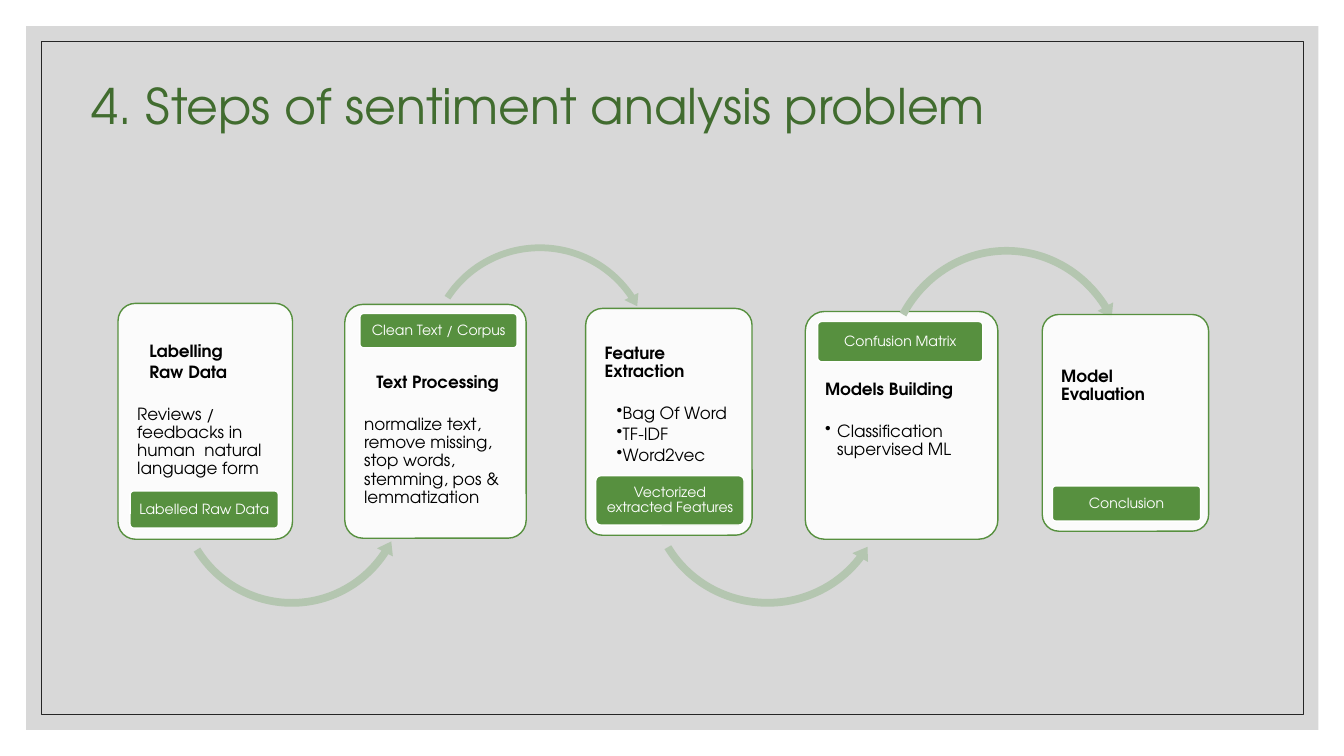
from lxml import etree
from pptx import Presentation
from pptx.dml.color import RGBColor
from pptx.enum.shapes import MSO_SHAPE
from pptx.enum.text import MSO_ANCHOR, MSO_AUTO_SIZE, PP_ALIGN
from pptx.oxml.ns import qn
from pptx.util import Inches, Pt

RECTANGLE = MSO_SHAPE.RECTANGLE
ROUNDED = MSO_SHAPE.ROUNDED_RECTANGLE
ARC_OVER = MSO_SHAPE.CIRCULAR_ARROW
ARC_UNDER = MSO_SHAPE.LEFT_CIRCULAR_ARROW
TOP, MIDDLE = MSO_ANCHOR.TOP, MSO_ANCHOR.MIDDLE
LEFT, CENTER = PP_ALIGN.LEFT, PP_ALIGN.CENTER
NO_AUTOFIT = MSO_AUTO_SIZE.NONE

WHITE = RGBColor(0xFF, 0xFF, 0xFF)
BLACK = RGBColor(0x00, 0x00, 0x00)
GRAY = RGBColor(0xBF, 0xBF, 0xBF)
CHARCOAL = RGBColor(0x26, 0x26, 0x26)
GREEN = RGBColor(0x57, 0x90, 0x3F)
DARK_GREEN = RGBColor(0x41, 0x6C, 0x2F)
PALE_GREEN = RGBColor(0xB4, 0xC6, 0xB0)

FONT = "TeX Gyre Adventor"
INDENT = 0.12
PLAIN, INDENTED, HANGING = (0, 0), (INDENT, 0), (INDENT, -INDENT)

STEPS = [
    {
        "card": (8.78, 40.13, 12.98, 31.2), "inset": 0.34,
        "heading": ["Labelling", "Raw Data"], "heading_indent": INDENTED,
        "body": ["Reviews / feedbacks in human  natural language form"],
        "label": ("Labelled Raw Data", (9.68, 64.93, 11.03, 4.93)),
        "arrow": (ARC_UNDER, (12.75, 48.8, 17.93, 32.13), (3.2, 6.48, 33.67, 148.01, 3.7)),
    },
    {
        "card": (25.65, 40.27, 13.5, 30.93), "inset": 0.64,
        "heading": ["Text Processing"], "heading_indent": INDENTED,
        "body": ["normalize text, remove missing, stop words, stemming, pos & lemmatization"],
        "label": ("Clean Text / Corpus", (26.78, 41.47, 11.7, 4.53)),
        "arrow": (ARC_OVER, (31.43, 31.73, 17.48, 30.67), (2.9, 5.98, 327.03, 212.19, 3.4)),
    },
    {
        "card": (43.58, 40.8, 12.38, 30), "inset": 0.31,
        "heading": ["Feature Extraction"],
        "body": ["Bag Of Word", "TF-IDF", "Word2vec"],
        "body_indent": INDENTED, "bullet": "•",
        "label": ("Vectorized extracted Features", (44.33, 62.93, 11.03, 6.53)),
        "arrow": (ARC_UNDER, (47.85, 48.8, 18.53, 32.13), (3.2, 6.49, 35.97, 150.3, 3.7)),
    },
    {
        "card": (59.92, 41.2, 14.33, 30.13), "inset": 0.63,
        "heading": ["Models Building"],
        "body": ["Classification supervised ML"],
        "body_indent": HANGING, "bullet": "•",
        "label": ("Confusion Matrix", (60.83, 42.53, 12.3, 5.33)),
        "arrow": (ARC_OVER, (65.4, 32, 18.98, 35.33), (3, 6.14, 325.18, 210.5, 3.5)),
    },
    {
        "card": (77.55, 41.6, 12.38, 28.67), "inset": 0.48,
        "heading": ["Model Evaluation"], "body": [],
        "label": ("Conclusion", (78.3, 64.27, 11.03, 4.67)),
    },
]


def apply(target, values):
    for name, value in values.items():
        setattr(target, name, value)


class SlideBuilder:
    def __init__(self, presentation):
        self.width = presentation.slide_width
        self.height = presentation.slide_height
        self.slide = presentation.slides.add_slide(presentation.slide_layouts[5])

    def place(self, box):
        sides = (self.width, self.height) * 2
        return [int(side * share / 100) for side, share in zip(sides, box)]

    def shape(self, kind, box, fill=None, opacity=None, line=None, weight=1):
        shape = self.slide.shapes.add_shape(kind, *self.place(box))
        shape.shadow.inherit = False
        if fill is None:
            shape.fill.background()
        else:
            shape.fill.solid()
            shape.fill.fore_color.rgb = fill
        if opacity is not None:
            color = shape._element.spPr.find(qn("a:solidFill"))[0]
            etree.SubElement(color, qn("a:alpha"), val=str(opacity * 1000))
        if line is None:
            shape.line.fill.background()
        else:
            shape.line.color.rgb = line
            shape.line.width = Pt(weight)
        return shape

    def frame(self, shape, margins, anchor):
        names = ("margin_left", "margin_top", "margin_right", "margin_bottom")
        apply(shape.text_frame, {name: Inches(margin) for name, margin in zip(names, margins)})
        apply(shape.text_frame, {"word_wrap": True, "auto_size": NO_AUTOFIT, "vertical_anchor": anchor})
        return shape.text_frame

    def fill_paragraph(self, paragraph, text, size, color, bold=False, align=LEFT,
                       before=0, after=0, indent=PLAIN, bullet=None):
        apply(paragraph, {"alignment": align, "line_spacing": 0.9,
                          "space_before": Pt(before), "space_after": Pt(after)})
        properties = paragraph._p.get_or_add_pPr()
        for name, length in zip(("marL", "indent"), indent):
            properties.set(name, str(Inches(length)))
        if bullet:
            etree.SubElement(properties, qn("a:buChar"), char=bullet)
        run = paragraph.add_run()
        run.text = text
        apply(run.font, {"name": FONT, "size": Pt(size), "bold": bold})
        run.font.color.rgb = color

    def title(self, text, box):
        title = self.slide.shapes.title
        apply(title, dict(zip(("left", "top", "width", "height"), self.place(box))))
        text_frame = self.frame(title, (0.48, 0.05, 0.1, 0.05), MIDDLE)
        self.fill_paragraph(text_frame.paragraphs[0], text, 35, DARK_GREEN)

    def card(self, step):
        card = self.shape(ROUNDED, step["card"], WHITE, 90, GREEN)
        card.adjustments[0] = 0.1
        text_frame = self.frame(card, (0.14, step["inset"], 0.14, 0), TOP)
        heading = {"bold": True, "indent": step.get("heading_indent", PLAIN)}
        body = {"indent": step.get("body_indent", PLAIN), "bullet": step.get("bullet")}
        lines = [(text, heading) for text in step["heading"]]
        lines += [(text, {**body, "before": 0 if index else 15})
                  for index, text in enumerate(step["body"])]
        for index, (text, style) in enumerate(lines):
            paragraph = text_frame.add_paragraph() if index else text_frame.paragraphs[0]
            self.fill_paragraph(paragraph, text, 12, BLACK, after=2, **style)

    def arrow(self, kind, box, geometry):
        arrow = self.shape(kind, box, PALE_GREEN)
        thickness, tip, end, start, head = geometry
        values = (thickness / 100, tip * 0.6, end * 0.6, start * 0.6, head / 100)
        for index, value in enumerate(values):
            arrow.adjustments[index] = value

    def label(self, text, box):
        label = self.shape(ROUNDED, box, GREEN, line=WHITE)
        label.adjustments[0] = 0.1
        text_frame = self.frame(label, (0.02, 0.01, 0.02, 0.01), MIDDLE)
        self.fill_paragraph(text_frame.paragraphs[0], text, 10, WHITE, align=CENTER)


def main():
    presentation = Presentation()
    apply(presentation, {"slide_width": Inches(13.33), "slide_height": Inches(7.5)})
    builder = SlideBuilder(presentation)
    builder.shape(RECTANGLE, (1.95, 3.47, 96.15, 93.07), GRAY, 60)
    builder.shape(RECTANGLE, (3.08, 5.47, 93.9, 89.07), line=CHARCOAL, weight=0.5)
    builder.title("4. Steps of sentiment analysis problem", (3.22, 5.6, 93.9, 17.6))
    title = builder.slide.shapes.title._element
    title.getparent().append(title)
    for step in STEPS:
        builder.card(step)
        if "arrow" in step:
            builder.arrow(*step["arrow"])
        builder.label(*step["label"])
    presentation.save("out.pptx")


if __name__ == "__main__":
    main()
